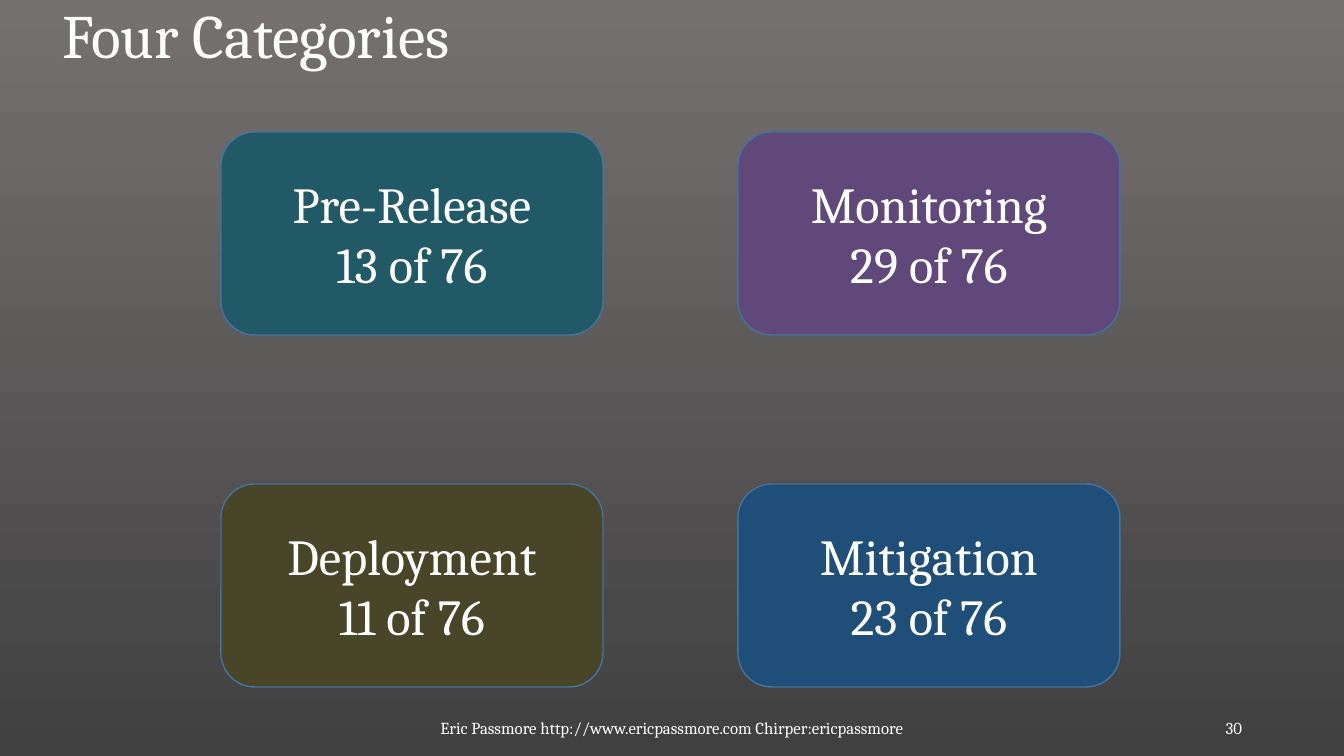
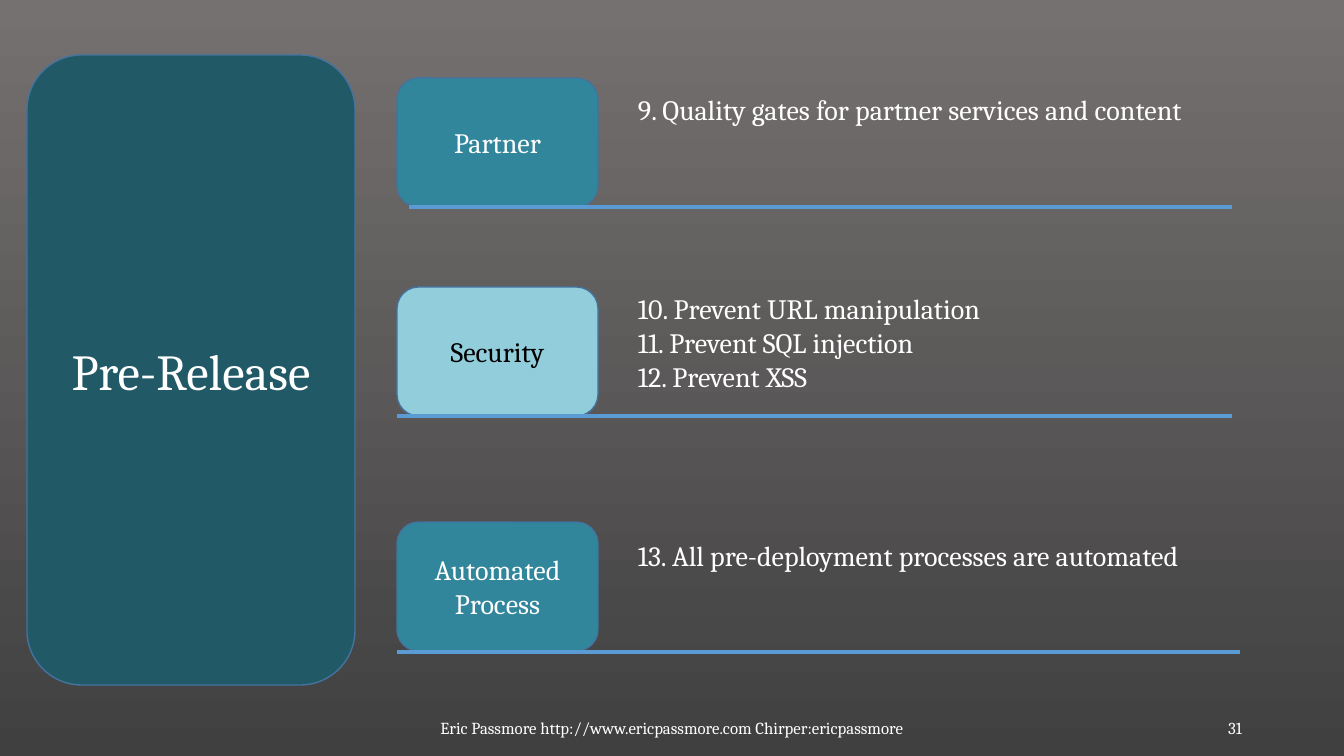
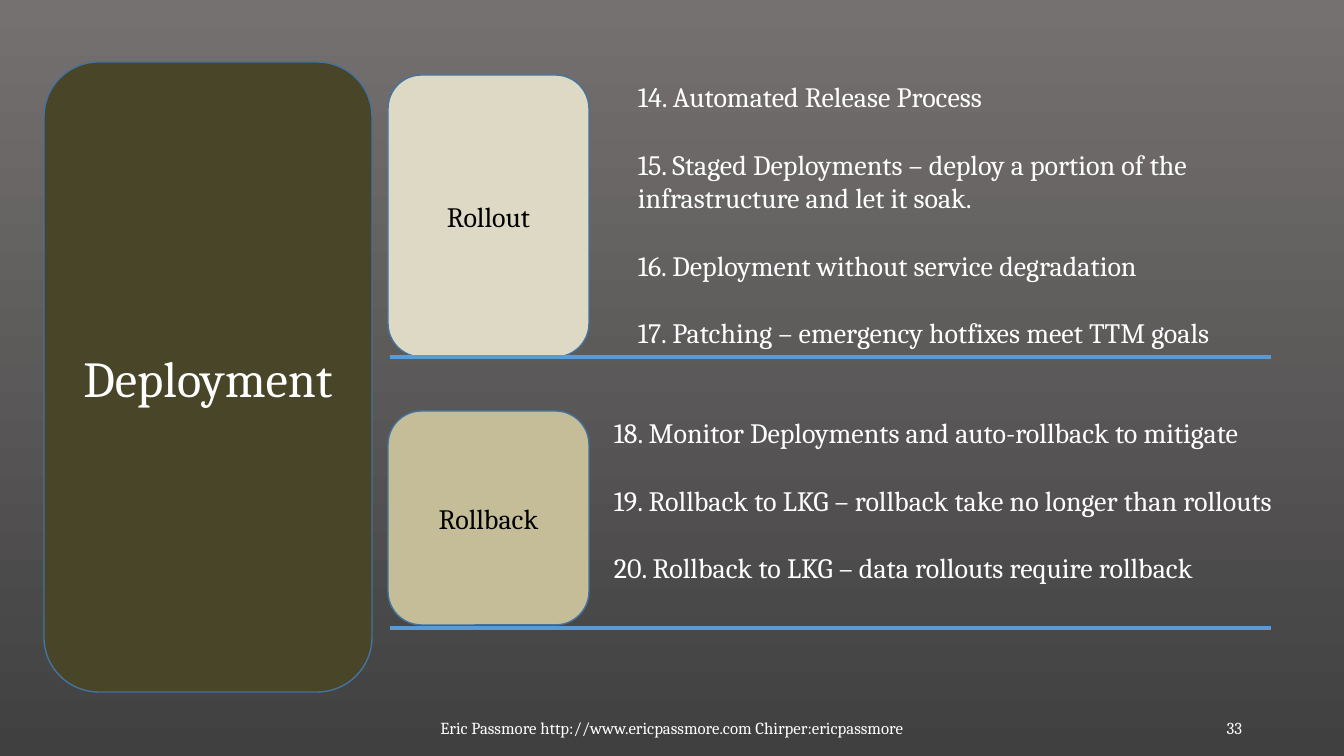
"""Build three slides on release categories, pre-release and deployment."""

import dataclasses
import typing

import lxml.etree
import pptx
import pptx.dml.color
import pptx.enum.shapes
import pptx.enum.text
import pptx.oxml.ns
import pptx.slide
import pptx.presentation
import pptx.text.text
import pptx.util

ALIGN = pptx.enum.text.PP_ALIGN
ANCHOR = pptx.enum.text.MSO_ANCHOR
AUTO_SIZE = pptx.enum.text.MSO_AUTO_SIZE


@dataclasses.dataclass(frozen=True)
class Theme:
    font: str = "Cambria"
    light: str = "FFFFFF"
    dark: str = "000000"
    background_top: str = "767171"
    background_bottom: str = "404040"
    outline: str = "43739E"
    rule: str = "5B9BD5"
    pre_release: str = "215967"
    monitoring: str = "60497A"
    deployment: str = "494529"
    mitigation: str = "1F4E79"
    teal: str = "31869B"
    pale_teal: str = "92CDDC"
    pale_olive: str = "DDD9C4"
    olive: str = "C4BD97"
    title_size: int = 44
    heading_size: int = 36
    body_size: int = 20
    footer_size: int = 12
    outline_width: float = 1
    rule_width: float = 2.25
    item_gap: int = 24


THEME = Theme()
FOOTER = "Eric Passmore http://www.ericpassmore.com Chirper:ericpassmore"


class Box(typing.NamedTuple):
    left: int
    top: int
    width: int
    height: int


class Card(typing.NamedTuple):
    box: Box
    lines: tuple[str, ...]
    fill: str
    size: int
    color: str = THEME.light


class Rule(typing.NamedTuple):
    start: int
    end: int
    y: int


class Section(typing.NamedTuple):
    card: Card
    rule: Rule
    items_box: Box
    items: tuple[str, ...]
    gap: int = 0


class Topic(typing.NamedTuple):
    number: int
    panel: Card
    sections: tuple[Section, ...]


def px(value: int) -> pptx.util.Emu:
    return pptx.util.Emu(round(value * 914400 / 100.8))


def rgb(value: str) -> pptx.dml.color.RGBColor:
    return pptx.dml.color.RGBColor.from_string(value)


def apply_format(target: typing.Any, values: dict[str, typing.Any]) -> None:
    for name, value in values.items():
        setattr(target, name, value)


def place(box: Box) -> tuple[pptx.util.Emu, ...]:
    return tuple(px(value) for value in box)


def write_text(
    frame: pptx.text.text.TextFrame,
    lines: tuple[str, ...],
    size: int,
    color: str = THEME.light,
    alignment: ALIGN = ALIGN.LEFT,
    anchor: ANCHOR = ANCHOR.MIDDLE,
    auto_size: AUTO_SIZE = AUTO_SIZE.NONE,
    gap: int = 0,
) -> None:
    apply_format(frame, {"word_wrap": True, "vertical_anchor": anchor, "auto_size": auto_size})
    for index, line in enumerate(lines):
        paragraph = frame.add_paragraph() if index else frame.paragraphs[0]
        paragraph.alignment = alignment
        if index and gap:
            paragraph.space_before = pptx.util.Pt(gap)
        run = paragraph.add_run()
        run.text = line
        apply_format(run.font, {"name": THEME.font, "size": pptx.util.Pt(size)})
        run.font.color.rgb = rgb(color)


def add_card(slide: pptx.slide.Slide, card: Card) -> None:
    shape = slide.shapes.add_shape(
        pptx.enum.shapes.MSO_SHAPE.ROUNDED_RECTANGLE, *place(card.box)
    )
    shape.shadow.inherit = False
    shape.fill.solid()
    shape.fill.fore_color.rgb = rgb(card.fill)
    shape.line.color.rgb = rgb(THEME.outline)
    shape.line.width = pptx.util.Pt(THEME.outline_width)
    write_text(shape.text_frame, card.lines, card.size, card.color, ALIGN.CENTER)


def add_rule(slide: pptx.slide.Slide, rule: Rule) -> None:
    connector = slide.shapes.add_connector(
        pptx.enum.shapes.MSO_CONNECTOR.STRAIGHT,
        px(rule.start), px(rule.y), px(rule.end), px(rule.y),
    )
    connector.line.color.rgb = rgb(THEME.rule)
    connector.line.width = pptx.util.Pt(THEME.rule_width)
    lxml.etree.SubElement(connector._element.spPr, pptx.oxml.ns.qn("a:effectLst"))


def add_text(
    slide: pptx.slide.Slide, box: Box, lines: tuple[str, ...], size: int, **options: typing.Any
) -> None:
    textbox = slide.shapes.add_textbox(*place(box))
    write_text(textbox.text_frame, lines, size, **options)


def add_footer(slide: pptx.slide.Slide, number: int) -> None:
    add_text(slide, Box(395, 715, 554, 26), (FOOTER,), THEME.footer_size, alignment=ALIGN.CENTER)
    add_text(slide, Box(949, 715, 303, 26), (str(number),), THEME.footer_size, alignment=ALIGN.RIGHT)


def add_title(slide: pptx.slide.Slide, text: str) -> None:
    title = slide.shapes.title
    left, top, width, height = place(Box(52, 0, 1107, 77))
    apply_format(title, {"left": left, "top": top, "width": width, "height": height})
    write_text(title.text_frame, (text,), THEME.title_size)
    title.text_frame.paragraphs[0].line_spacing = 0.9


def add_categories(presentation: pptx.presentation.Presentation) -> None:
    slide = presentation.slides.add_slide(presentation.slide_layouts.get_by_name("Title Only"))
    add_title(slide, "Four Categories")
    categories = (
        ("Pre-Release", 13, THEME.pre_release),
        ("Monitoring", 29, THEME.monitoring),
        ("Deployment", 11, THEME.deployment),
        ("Mitigation", 23, THEME.mitigation),
    )
    for index, (name, count, fill) in enumerate(categories):
        row, column = divmod(index, 2)
        box = Box(221 + column * 517, 132 + row * 352, 382, 203)
        add_card(slide, Card(box, (name, f"{count} of 76"), fill, THEME.heading_size))
    add_footer(slide, 30)


def add_topic(presentation: pptx.presentation.Presentation, topic: Topic) -> None:
    slide = presentation.slides.add_slide(presentation.slide_layouts.get_by_name("Blank"))
    add_card(slide, topic.panel)
    for section in topic.sections:
        add_card(slide, section.card)
        add_rule(slide, section.rule)
        add_text(
            slide, section.items_box, section.items, THEME.body_size,
            anchor=ANCHOR.TOP, auto_size=AUTO_SIZE.SHAPE_TO_FIT_TEXT, gap=section.gap,
        )
    add_footer(slide, topic.number)


TOPICS = (
    Topic(
        31,
        Card(Box(27, 55, 328, 630), ("Pre-Release",), THEME.pre_release, THEME.heading_size),
        (
            Section(
                Card(Box(397, 78, 201, 129), ("Partner",), THEME.teal, THEME.body_size),
                Rule(409, 1232, 207),
                Box(628, 88, 673, 44),
                ("9. Quality gates for partner services and content",),
            ),
            Section(
                Card(Box(397, 287, 201, 129), ("Security",), THEME.pale_teal, THEME.body_size, THEME.dark),
                Rule(397, 1232, 416),
                Box(628, 287, 658, 112),
                (
                    "10. Prevent URL manipulation",
                    "11. Prevent SQL injection",
                    "12. Prevent XSS",
                ),
            ),
            Section(
                Card(Box(397, 522, 201, 129), ("Automated Process",), THEME.teal, THEME.body_size),
                Rule(397, 1240, 652),
                Box(628, 534, 658, 44),
                ("13. All pre-deployment processes are automated",),
            ),
        ),
    ),
    Topic(
        33,
        Card(Box(44, 62, 328, 630), ("Deployment",), THEME.deployment, THEME.heading_size),
        (
            Section(
                Card(Box(388, 75, 201, 282), ("Rollout",), THEME.pale_olive, THEME.body_size, THEME.dark),
                Rule(390, 1271, 357),
                Box(628, 75, 719, 281),
                (
                    "14. Automated Release Process",
                    "15. Staged Deployments – deploy a portion of the infrastructure and let it soak.",
                    "16. Deployment without service degradation",
                    "17. Patching – emergency hotfixes meet TTM goals",
                ),
                THEME.item_gap,
            ),
            Section(
                Card(Box(388, 411, 201, 214), ("Rollback",), THEME.olive, THEME.body_size, THEME.dark),
                Rule(390, 1271, 628),
                Box(604, 411, 711, 214),
                (
                    "18. Monitor Deployments and auto-rollback to mitigate",
                    "19. Rollback to LKG – rollback take no longer than rollouts",
                    "20. Rollback to LKG – data rollouts require rollback",
                ),
                THEME.item_gap,
            ),
        ),
    ),
)


def set_background(presentation: pptx.presentation.Presentation) -> None:
    fill = presentation.slide_master.background.fill
    fill.gradient()
    fill.gradient_angle = 270
    colors = (THEME.background_top, THEME.background_bottom)
    for position, (stop, color) in enumerate(zip(fill.gradient_stops, colors)):
        stop.position = position
        stop.color.rgb = rgb(color)


def main() -> None:
    presentation = pptx.Presentation()
    apply_format(presentation, {"slide_width": px(1344), "slide_height": px(756)})
    set_background(presentation)
    add_categories(presentation)
    for topic in TOPICS:
        add_topic(presentation, topic)
    presentation.save("out.pptx")


if __name__ == "__main__":
    main()
